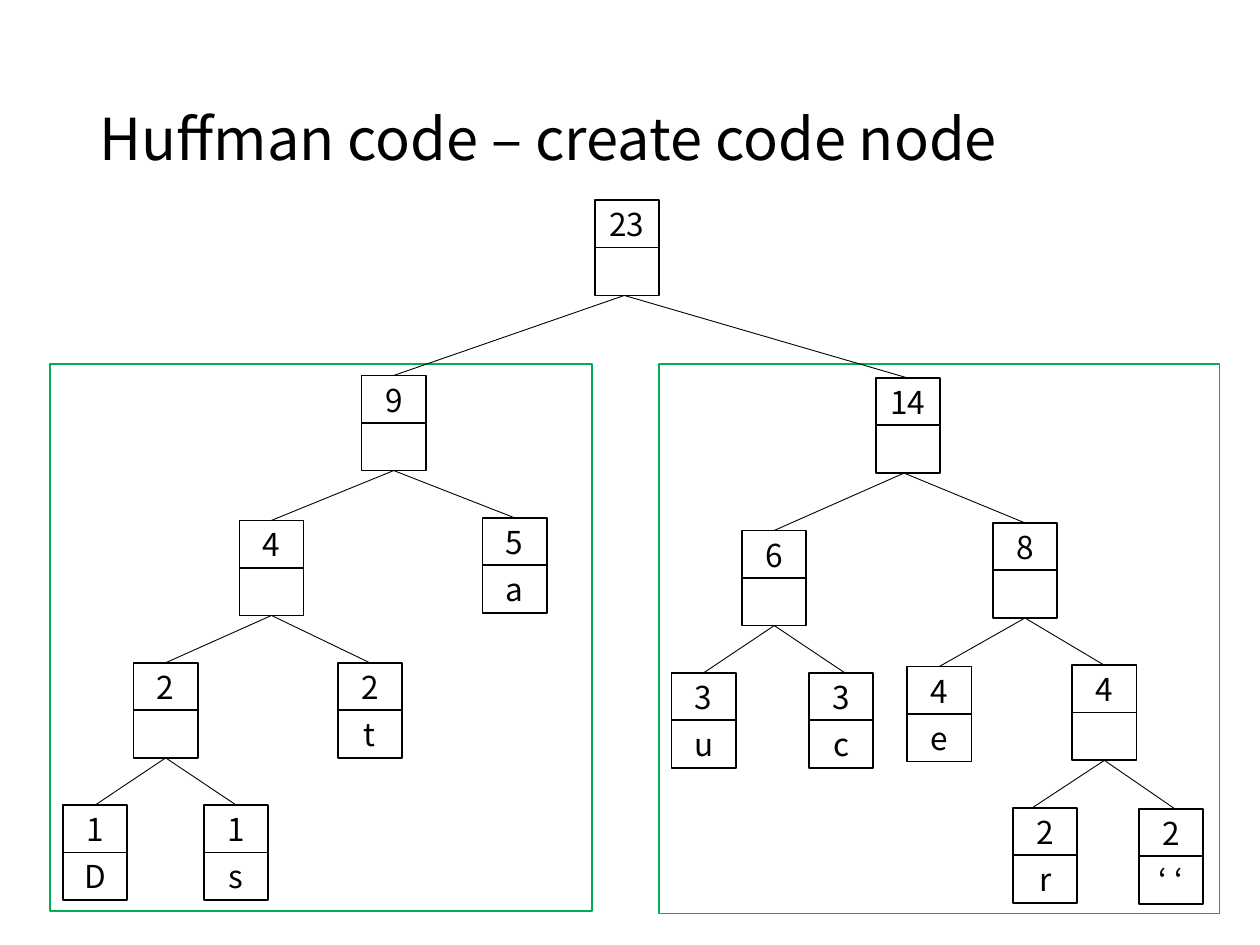
"""Build a slide that shows the Huffman code tree of a short text."""
import dataclasses

import lxml.etree
import pptx
import pptx.dml.color
import pptx.enum.shapes
import pptx.enum.text
import pptx.oxml.ns
import pptx.util

Inches = pptx.util.Inches
Align = pptx.enum.text.PP_ALIGN
BOTTOM, TOP = 2, 0


@dataclasses.dataclass(frozen=True)
class Theme:
    font: str = "Noto Sans CJK KR"
    ink: str = "000000"
    paper: str = "FFFFFF"
    frame: str = "00B050"
    title_size: float = 33
    cell_size: float = 18
    box_line: float = 1
    edge_line: float = 0.5


CELL_WIDTH, CELL_HEIGHT, CELL_STEP = 0.51, 0.38, 0.375

PANELS = [(0.4, 2.89, 4.3, 4.34), (5.23, 2.89, 4.45, 4.36)]

NODES = {
    "root": (4.72, 1.59, "23", ""),
    "nine": (2.87, 2.98, "9", ""),
    "fourteen": (6.95, 3.0, "14", ""),
    "four": (1.9, 4.13, "4", ""),
    "a": (3.83, 4.11, "5", "a"),
    "two": (1.06, 5.26, "2", ""),
    "t": (2.68, 5.26, "2", "t"),
    "D": (0.5, 6.39, "1", "D"),
    "s": (1.62, 6.39, "1", "s"),
    "six": (5.89, 4.21, "6", ""),
    "eight": (7.88, 4.15, "8", ""),
    "u": (5.33, 5.34, "3", "u"),
    "c": (6.42, 5.34, "3", "c"),
    "e": (7.2, 5.29, "4", "e"),
    "right four": (8.51, 5.28, "4", ""),
    "r": (8.04, 6.41, "2", "r"),
    "space": (9.04, 6.42, "2", "‘ ‘"),
}

CHILDREN = {
    "root": ("nine", "fourteen"),
    "nine": ("four", "a"),
    "four": ("two", "t"),
    "two": ("D", "s"),
    "fourteen": ("six", "eight"),
    "six": ("u", "c"),
    "eight": ("e", "right four"),
    "right four": ("r", "space"),
}

START_SHIFT = {"root": -0.02, "fourteen": -0.03}
END_SHIFT = {"c": 0.03, "r": -0.1, "space": 0.03}


class TreePage:
    """Hold the theme and the current page, and draw its elements."""

    def __init__(self, deck, theme):
        self.theme = theme
        self.page = deck.slides.add_slide(deck.slide_layouts[5])

    def color(self, value):
        return pptx.dml.color.RGBColor.from_string(value)

    def apply(self, target, formats):
        for name, value in formats.items():
            setattr(target, name, value)

    def label(self, shape, text, size, align):
        frame = shape.text_frame
        self.apply(frame, {
            "text": text,
            "word_wrap": True,
            "auto_size": pptx.enum.text.MSO_AUTO_SIZE.NONE,
            "vertical_anchor": pptx.enum.text.MSO_ANCHOR.MIDDLE,
        })
        para = frame.paragraphs[0]
        para.alignment = align
        self.apply(para.font, {"name": self.theme.font, "size": pptx.util.Pt(size)})
        para.font.color.rgb = self.color(self.theme.ink)
        return para

    def outline(self, shape, color, width):
        shape.line.color.rgb = self.color(color)
        shape.line.width = pptx.util.Pt(width)

    def title(self, text, left, top, width, height):
        shape = self.page.shapes.title
        self.apply(shape, {
            "left": Inches(left),
            "top": Inches(top),
            "width": Inches(width),
            "height": Inches(height),
        })
        self.label(shape, text, self.theme.title_size, Align.LEFT).line_spacing = 0.9

    def rectangle(self, left, top, width, height, line):
        box = self.page.shapes.add_shape(
            pptx.enum.shapes.MSO_SHAPE.RECTANGLE,
            Inches(left), Inches(top), Inches(width), Inches(height))
        box.shadow.inherit = False
        self.outline(box, line, self.theme.box_line)
        return box

    def panel(self, left, top, width, height):
        self.rectangle(left, top, width, height, self.theme.frame).fill.background()

    def node(self, left, top, weight, symbol):
        cells = []
        for row, text in enumerate((weight, symbol)):
            cell = self.rectangle(
                left, top + row * CELL_STEP, CELL_WIDTH, CELL_HEIGHT, self.theme.ink)
            cell.fill.solid()
            cell.fill.fore_color.rgb = self.color(self.theme.paper)
            if text:
                self.label(cell, text, self.theme.cell_size, Align.CENTER)
            cells.append(cell)
        return cells

    def edge(self, parent, child, start_shift, end_shift):
        edge = self.page.shapes.add_connector(
            pptx.enum.shapes.MSO_CONNECTOR.STRAIGHT,
            parent.left + parent.width // 2 + Inches(start_shift),
            parent.top + parent.height,
            child.left + child.width // 2 + Inches(end_shift),
            child.top)
        if not start_shift:
            edge.begin_connect(parent, BOTTOM)
        if not end_shift:
            edge.end_connect(child, TOP)
        self.outline(edge, self.theme.ink, self.theme.edge_line)
        lxml.etree.SubElement(edge._element.spPr, pptx.oxml.ns.qn("a:effectLst"))


def main():
    deck = pptx.Presentation()
    deck.slide_width, deck.slide_height = Inches(10), Inches(7.5)
    page = TreePage(deck, Theme())
    page.title("Huffman code – create code node", 0.69, 0.4, 8.62, 1.45)
    for panel in PANELS:
        page.panel(*panel)
    cells = {key: page.node(*node) for key, node in NODES.items()}
    for parent, children in CHILDREN.items():
        for child in children:
            page.edge(cells[parent][1], cells[child][0],
                      START_SHIFT.get(parent, 0), END_SHIFT.get(child, 0))
    deck.save("out.pptx")


if __name__ == "__main__":
    main()
